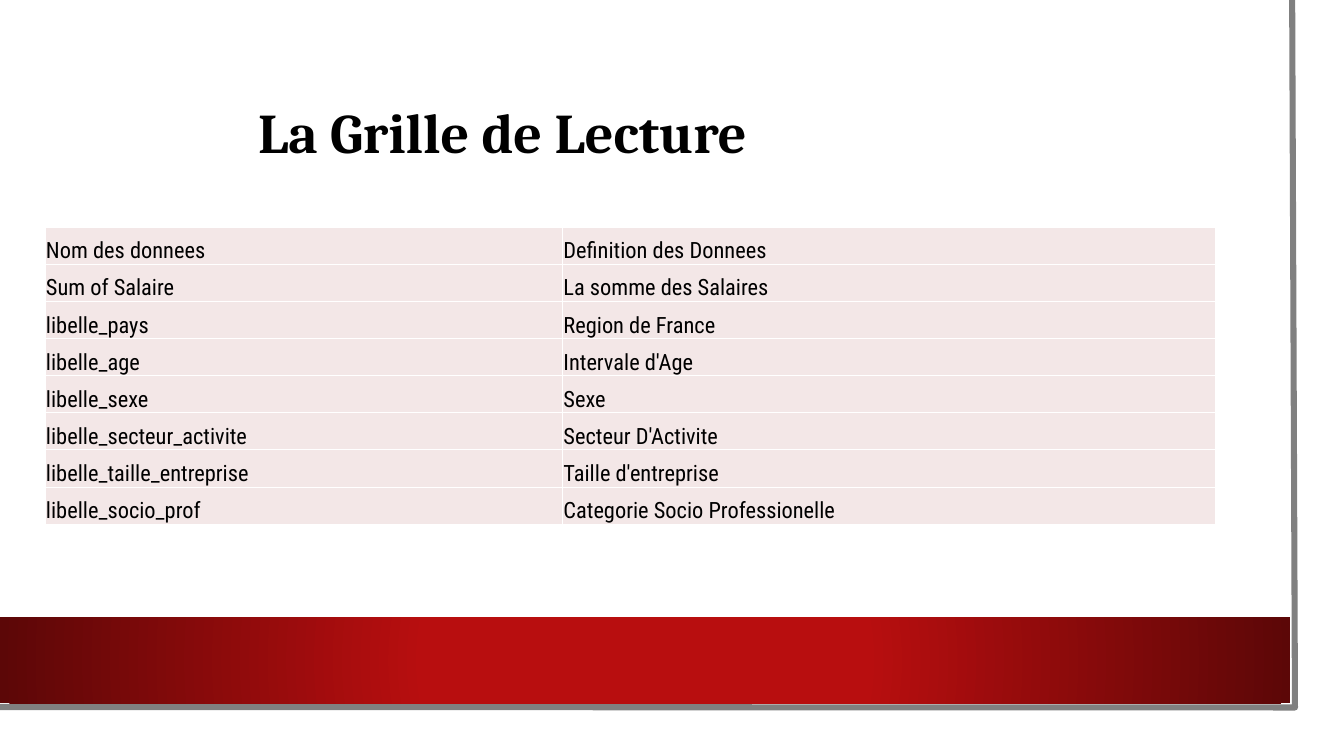
"""Build the reading-grid slide: a title, a two-column glossary table and a red band."""
from lxml.etree import SubElement
from pptx import Presentation
from pptx.dml.color import RGBColor
from pptx.enum.shapes import MSO_SHAPE
from pptx.enum.text import MSO_ANCHOR, MSO_AUTO_SIZE
from pptx.oxml.ns import qn
from pptx.util import Pt

TITLE = "La Grille de Lecture"
GLOSSARY = [
    ("Nom des donnees", "Definition des Donnees"),
    ("Sum of Salaire", "La somme des Salaires"),
    ("libelle_pays", "Region de France"),
    ("libelle_age", "Intervale d'Age"),
    ("libelle_sexe", "Sexe"),
    ("libelle_secteur_activite", "Secteur D'Activite"),
    ("libelle_taille_entreprise", "Taille d'entreprise"),
    ("libelle_socio_prof", "Categorie Socio Professionelle"),
]
COLORS = {"page": "FFFFFF", "edge": "808080", "red": "B80E0F", "dark_red": "5C0707",
          "cell": "F3E7E7", "rule": "FFFFFF", "text": "000000"}
EDGE_POINTS = [(1384.5, 0), (1387.5, 758), (-3, 757.5)]
COLUMN_WIDTHS = [554.5, 699.5]
ROW_HEIGHT = 39.75


def rgb(name):
    return RGBColor.from_string(COLORS[name])


def add_rectangle(slide, left, top, width, height, color):
    rectangle = slide.shapes.add_shape(
        MSO_SHAPE.RECTANGLE, Pt(left), Pt(top), Pt(width), Pt(height))
    rectangle.shadow.inherit = False
    rectangle.line.fill.background()
    rectangle.fill.solid()
    rectangle.fill.fore_color.rgb = rgb(color)
    return rectangle


def add_color(parent, name):
    SubElement(parent, qn("a:srgbClr"), val=COLORS[name])


def shade_from_center(shape, stops):
    solid = shape.element.spPr.find(qn("a:solidFill"))
    gradient = SubElement(shape.element.spPr, qn("a:gradFill"), rotWithShape="1")
    solid.getparent().replace(solid, gradient)
    stop_list = SubElement(gradient, qn("a:gsLst"))
    for percent, name in stops:
        add_color(SubElement(stop_list, qn("a:gs"), pos=str(percent * 1000)), name)
    circle = SubElement(gradient, qn("a:path"), path="circle")
    SubElement(circle, qn("a:fillToRect"), l="50000", t="50000", r="50000", b="50000")


def add_text(frame, text, font, size, bold):
    run = frame.paragraphs[0].add_run()
    run.text = text
    run.font.name = font
    run.font.size = Pt(size)
    run.font.bold = bold
    run.font.color.rgb = rgb("text")


def add_page(slide):
    add_rectangle(slide, 0, 0, 1415, 785, "page")
    start, *corners = [(Pt(x), Pt(y)) for x, y in EDGE_POINTS]
    builder = slide.shapes.build_freeform(*start)
    builder.add_line_segments(corners, close=False)
    edge = builder.convert_to_shape()
    edge.shadow.inherit = False
    edge.fill.background()
    edge.line.color.rgb = rgb("edge")
    edge.line.width = Pt(6.5)
    band = add_rectangle(slide, 0, 661.5, 1382.5, 92, "red")
    shade_from_center(band, [(34, "red"), (100, "dark_red")])


def add_title(slide):
    title = slide.shapes.add_textbox(Pt(269.5), Pt(101), Pt(654.5), Pt(101)).text_frame
    title.word_wrap = True
    title.auto_size = MSO_AUTO_SIZE.SHAPE_TO_FIT_TEXT
    add_text(title, TITLE, "Cambria", 60, True)


def fill_cell(cell, text):
    cell.margin_left = cell.margin_top = cell.margin_right = Pt(0.75)
    cell.margin_bottom = 0
    cell.vertical_anchor = MSO_ANCHOR.BOTTOM
    add_text(cell.text_frame, text, "Roboto Condensed", 24, False)
    properties = cell._tc.get_or_add_tcPr()
    for side in ("lnL", "lnR", "lnT", "lnB"):
        border = SubElement(properties, qn(f"a:{side}"), w=str(Pt(1)))
        add_color(SubElement(border, qn("a:solidFill")), "rule")
    cell.fill.solid()
    cell.fill.fore_color.rgb = rgb("cell")


def add_glossary(slide):
    table = slide.shapes.add_table(
        len(GLOSSARY), len(COLUMN_WIDTHS), Pt(48.5), Pt(243.5),
        Pt(sum(COLUMN_WIDTHS)), Pt(ROW_HEIGHT * len(GLOSSARY))).table
    table.first_row = table.horz_banding = False
    for column, width in zip(table.columns, COLUMN_WIDTHS):
        column.width = Pt(width)
    for row, entry in zip(table.rows, GLOSSARY):
        row.height = Pt(ROW_HEIGHT)
        for cell, text in zip(row.cells, entry):
            fill_cell(cell, text)


def main():
    presentation = Presentation()
    presentation.slide_width, presentation.slide_height = Pt(1440), Pt(810)
    slide = presentation.slides.add_slide(presentation.slide_layouts[6])
    add_page(slide)
    add_title(slide)
    add_glossary(slide)
    presentation.save("out.pptx")


if __name__ == "__main__":
    main()
